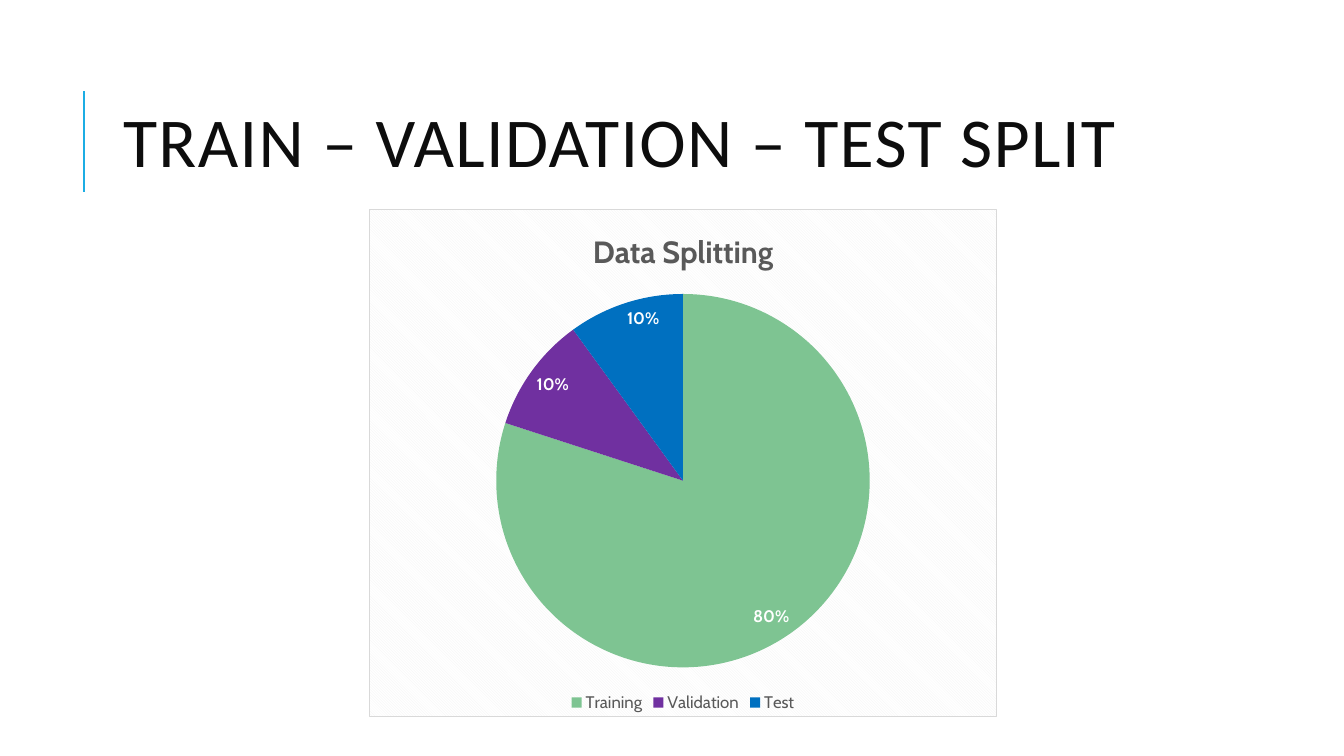
from lxml import etree
from pptx import Presentation
from pptx.chart.data import CategoryChartData
from pptx.dml.color import RGBColor
from pptx.enum import chart as ch, shapes, text
from pptx.oxml import ns, parse_xml
from pptx.util import Pt

PX = 914400 / 100.8


def px(*lengths):
    return [round(n * PX) for n in lengths]


def style(font, size, color, name="Cabin", bold=False):
    font.size, font.name, font.bold = Pt(size), name, bold
    font.color.rgb = RGBColor.from_string(color)


prs = Presentation()
prs.slide_width, prs.slide_height = px(1344, 756)
s = prs.slides.add_slide(prs.slide_layouts[5])

# Accent line beside the title
accent = s.shapes.add_connector(shapes.MSO_CONNECTOR.STRAIGHT, *px(84, 192, 84, 91))
accent.line.color.rgb = RGBColor.from_string("1CADE4")
accent.line.width = Pt(1.5)
etree.SubElement(accent._element.spPr, ns.qn("a:effectLst"))

# Title
title = s.shapes.title
title.left, title.top, title.width, title.height = px(113, 65, 1072, 165)
tf = title.text_frame
tf.word_wrap = True
tf.auto_size = text.MSO_AUTO_SIZE.NONE
tf.vertical_anchor = text.MSO_ANCHOR.MIDDLE
p = tf.paragraphs[0]
p.alignment = text.PP_ALIGN.LEFT
p.line_spacing = 0.8
r = p.add_run()
r.text = "TRAIN – VALIDATION – TEST SPLIT"
style(r.font, 50, "0D0D0D", "Calibri")
r.font._element.set("spc", "100")

# Pie chart
splits = [("Training", 80, "7EC492"), ("Validation", 10, "7030A0"), ("Test", 10, "0070C0")]
data = CategoryChartData()
data.categories = [name for name, _, _ in splits]
data.add_series("Series 1", [share for _, share, _ in splits])
chart = s.shapes.add_chart(ch.XL_CHART_TYPE.PIE, *px(369, 209, 628, 508), data).chart
style(chart.font, 10, "000000")

chart.has_title = True
r = chart.chart_title.text_frame.paragraphs[0].add_run()
r.text = "Data Splitting"
style(r.font, 22, "595959", bold=True)

chart.has_legend = True
chart.legend.position = ch.XL_LEGEND_POSITION.BOTTOM
chart.legend.include_in_layout = False
style(chart.legend.font, 12, "595959")

pie = chart.plots[0].series[0]
for i, (_, _, color) in enumerate(splits):
    fill = pie.points[i].format.fill
    fill.solid()
    fill.fore_color.rgb = RGBColor.from_string(color)

labels = pie.data_labels
labels.show_percentage = True
labels.show_value = False
labels.number_format = "0%"
labels.number_format_is_linked = False
labels.position = ch.XL_LABEL_POSITION.INSIDE_END
style(labels.font, 12, "FFFFFF", bold=True)

# Hatched chart background with a thin border
chart._chartSpace.find(ns.qn("c:chart")).addnext(parse_xml(
    f'<c:spPr {ns.nsdecls("c", "a")}>'
    '<a:pattFill prst="dkDnDiag"><a:fgClr><a:srgbClr val="F2F2F2"/></a:fgClr>'
    '<a:bgClr><a:srgbClr val="FFFFFF"/></a:bgClr></a:pattFill>'
    f'<a:ln w="{Pt(0.75)}"><a:solidFill><a:srgbClr val="D9D9D9"/></a:solidFill></a:ln>'
    '</c:spPr>'))

prs.save("out.pptx")
